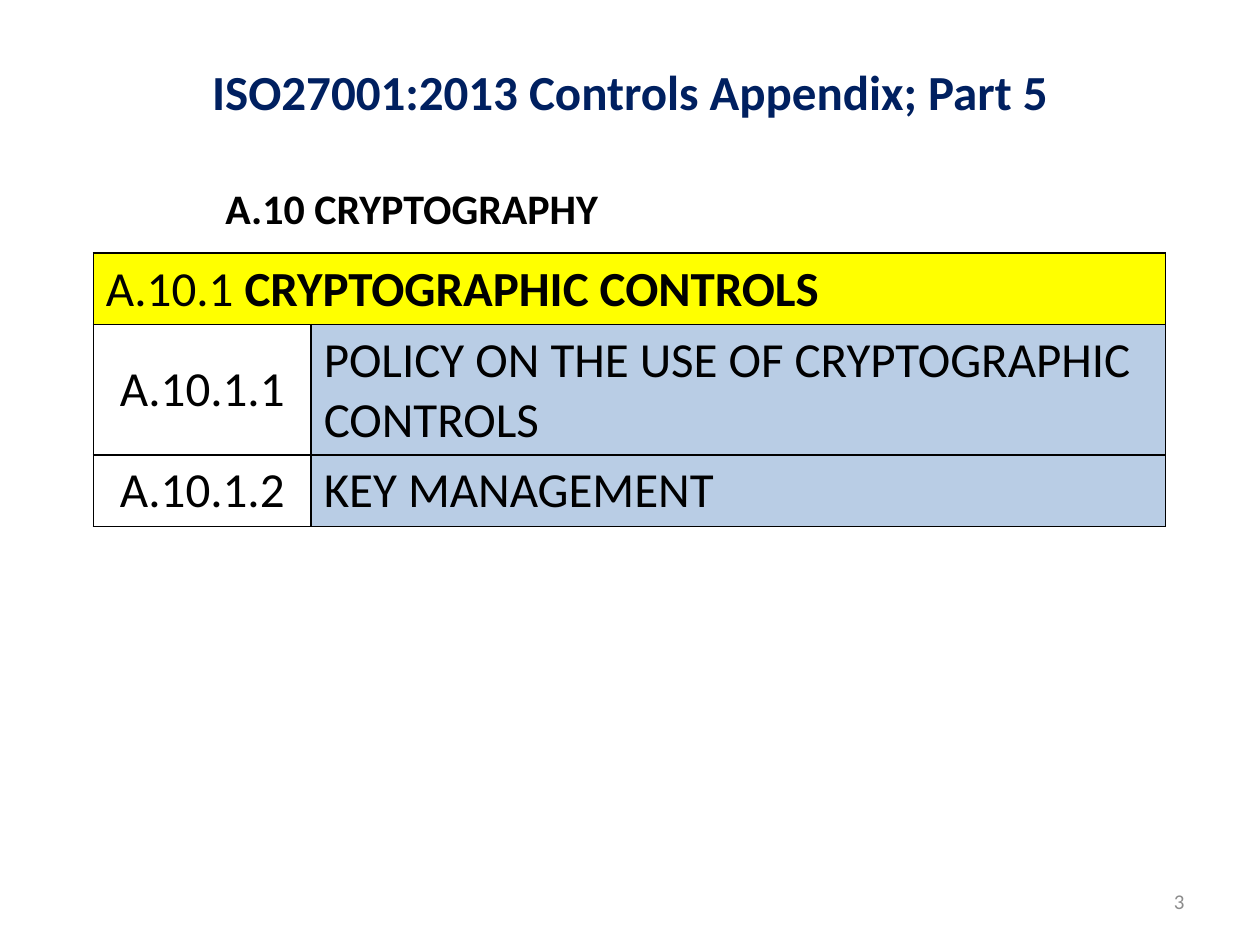
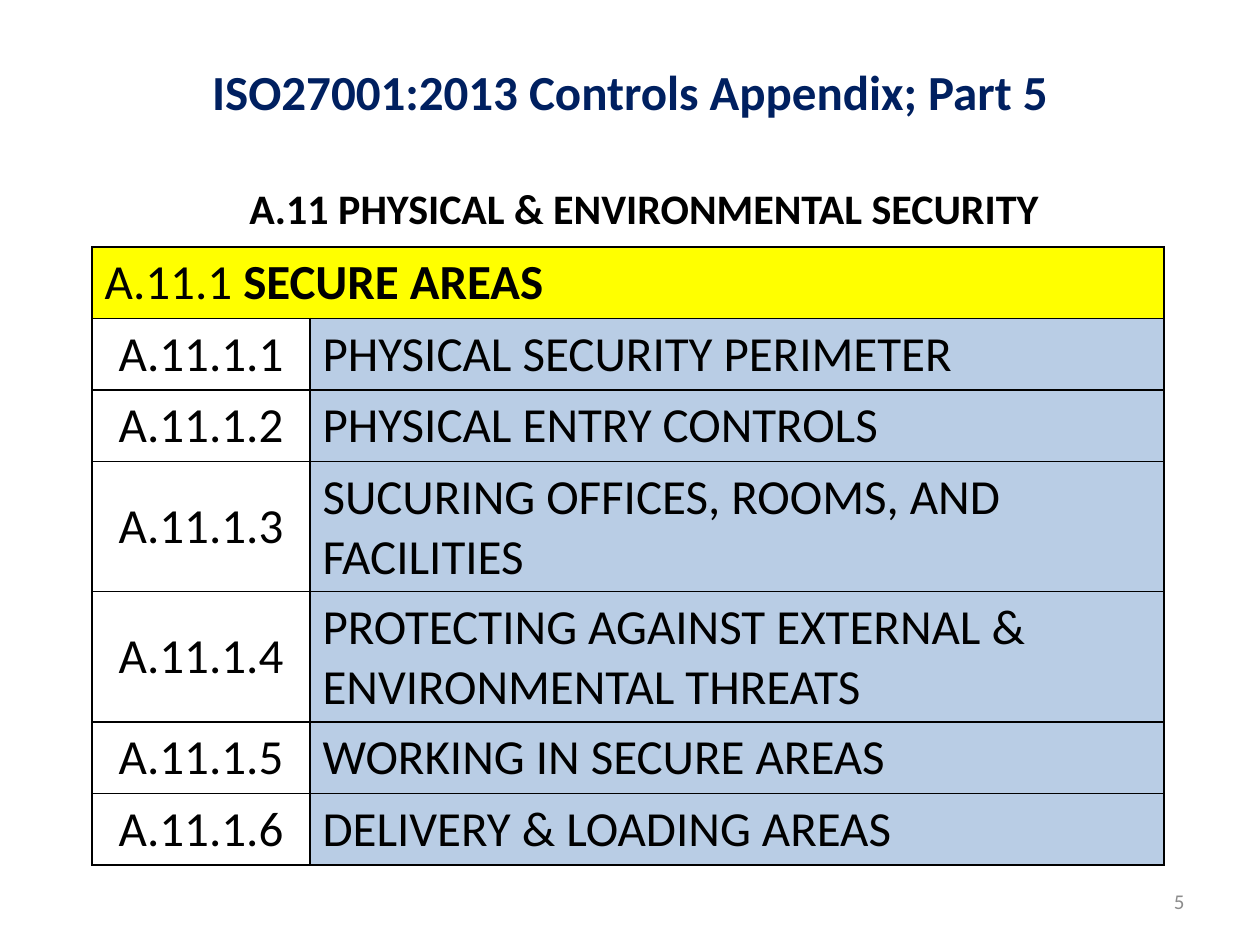
"""Build two slides that list ISO27001 controls in tables."""
from dataclasses import dataclass

from lxml.etree import SubElement as Sub
from pptx import Presentation
from pptx.dml.color import RGBColor as Color
from pptx.enum.text import MSO_ANCHOR as Anchor, PP_ALIGN as Align
from pptx.oxml.ns import qn
from pptx.util import Inches, Pt


@dataclass(frozen=True)
class Theme:
    font: str = "Calibri"
    navy: str = "002060"
    black: str = "000000"
    grey: str = "8C8C8C"
    yellow: str = "FFFF00"
    blue: str = "B9CDE5"
    big: int = 28
    mid: int = 24
    small: int = 12
    line: int = 1


TITLE = "ISO27001:2013 Controls Appendix; Part 5"
COLS = (1.73, 6.78)
ROW, TALL, LIMIT = 0.56, 1.03, 35

PAGES = [
    dict(num=3, head="A.10 CRYPTOGRAPHY", spot=(1.69, 3.19), at=(0.74, 2.01),
         code="A.10.1", group="CRYPTOGRAPHIC CONTROLS",
         items=["POLICY ON THE USE OF CRYPTOGRAPHIC CONTROLS",
                "KEY MANAGEMENT"]),
    dict(num=5, head="A.11 PHYSICAL & ENVIRONMENTAL SECURITY",
         spot=(1.88, 6.52), at=(0.73, 1.96),
         code="A.11.1", group="SECURE AREAS",
         items=["PHYSICAL SECURITY PERIMETER",
                "PHYSICAL ENTRY CONTROLS",
                "SUCURING OFFICES, ROOMS, AND FACILITIES",
                "PROTECTING AGAINST EXTERNAL & ENVIRONMENTAL THREATS",
                "WORKING IN SECURE AREAS",
                "DELIVERY & LOADING AREAS"]),
]


class Deck:
    def __init__(self, theme):
        self.theme = theme
        self.show = Presentation()
        self.show.slide_width = Inches(10)
        self.show.slide_height = Inches(7.5)
        self.slide = None

    def style(self, para, size, color, bold=False, align=Align.LEFT):
        para.alignment = align
        font = para.font
        font.name, font.size, font.bold = self.theme.font, Pt(size), bold
        font.color.rgb = Color.from_string(color)

    def title(self, text):
        self.slide = self.show.slides.add_slide(self.show.slide_layouts[5])
        box = self.slide.shapes.title
        box.left, box.top = Inches(0.5), Inches(0.23)
        box.width, box.height = Inches(9), Inches(0.98)
        frame = box.text_frame
        frame.text = text
        frame.vertical_anchor = Anchor.MIDDLE
        self.style(frame.paragraphs[0], self.theme.big, self.theme.navy,
                   True, Align.CENTER)

    def text(self, words, at, size, color, bold=False, align=Align.LEFT,
             anchor=Anchor.TOP, wrap=True):
        frame = self.slide.shapes.add_textbox(*map(Inches, at)).text_frame
        frame.word_wrap = wrap
        frame.vertical_anchor = anchor
        frame.text = words
        self.style(frame.paragraphs[0], size, color, bold, align)

    def cell(self, cell, words, fill=None, align=Align.LEFT):
        cell.text = words
        cell.vertical_anchor = Anchor.MIDDLE
        self.style(cell.text_frame.paragraphs[0], self.theme.big,
                   self.theme.black, align=align)
        self.edge(cell)
        if fill:
            cell.fill.solid()
            cell.fill.fore_color.rgb = Color.from_string(fill)
        else:
            cell.fill.background()

    def edge(self, cell):
        props = cell._tc.get_or_add_tcPr()
        for side in "LRTB":
            line = Sub(props, qn(f"a:ln{side}"), w=str(Pt(self.theme.line)))
            Sub(Sub(line, qn("a:solidFill")), qn("a:srgbClr"),
                val=self.theme.black)

    def table(self, at, code, group, items):
        highs = [ROW] + [TALL if len(item) > LIMIT else ROW for item in items]
        size = (*at, sum(COLS), sum(highs))
        grid = self.slide.shapes.add_table(
            len(highs), len(COLS), *map(Inches, size)).table
        grid.first_row = grid.horz_banding = False
        for col, wide in zip(grid.columns, COLS):
            col.width = Inches(wide)
        for row, high in zip(grid.rows, highs):
            row.height = Inches(high)

        top = grid.cell(0, 0)
        self.cell(top, f"{code} ", self.theme.yellow)
        self.cell(grid.cell(0, 1), "", self.theme.yellow)
        top.merge(grid.cell(0, 1))
        top.vertical_anchor = Anchor.TOP
        run = top.text_frame.paragraphs[0].add_run()
        run.text = group
        run.font.bold = True

        for num, item in enumerate(items, 1):
            self.cell(grid.cell(num, 0), f"{code}.{num}", align=Align.CENTER)
            self.cell(grid.cell(num, 1), item, self.theme.blue)

    def page(self, num, head, spot, at, code, group, items):
        look = self.theme
        left, wide = spot
        self.title(TITLE)
        self.text(str(num), (7.17, 6.95, 2.33, 0.4), look.small, look.grey,
                  align=Align.RIGHT, anchor=Anchor.MIDDLE)
        self.text(head, (left, 1.4, wide, 0.5), look.mid, look.black,
                  bold=True, wrap=False)
        self.table(at, code, group, items)


def main():
    deck = Deck(Theme())
    for page in PAGES:
        deck.page(**page)
    deck.show.save("out.pptx")


if __name__ == "__main__":
    main()
